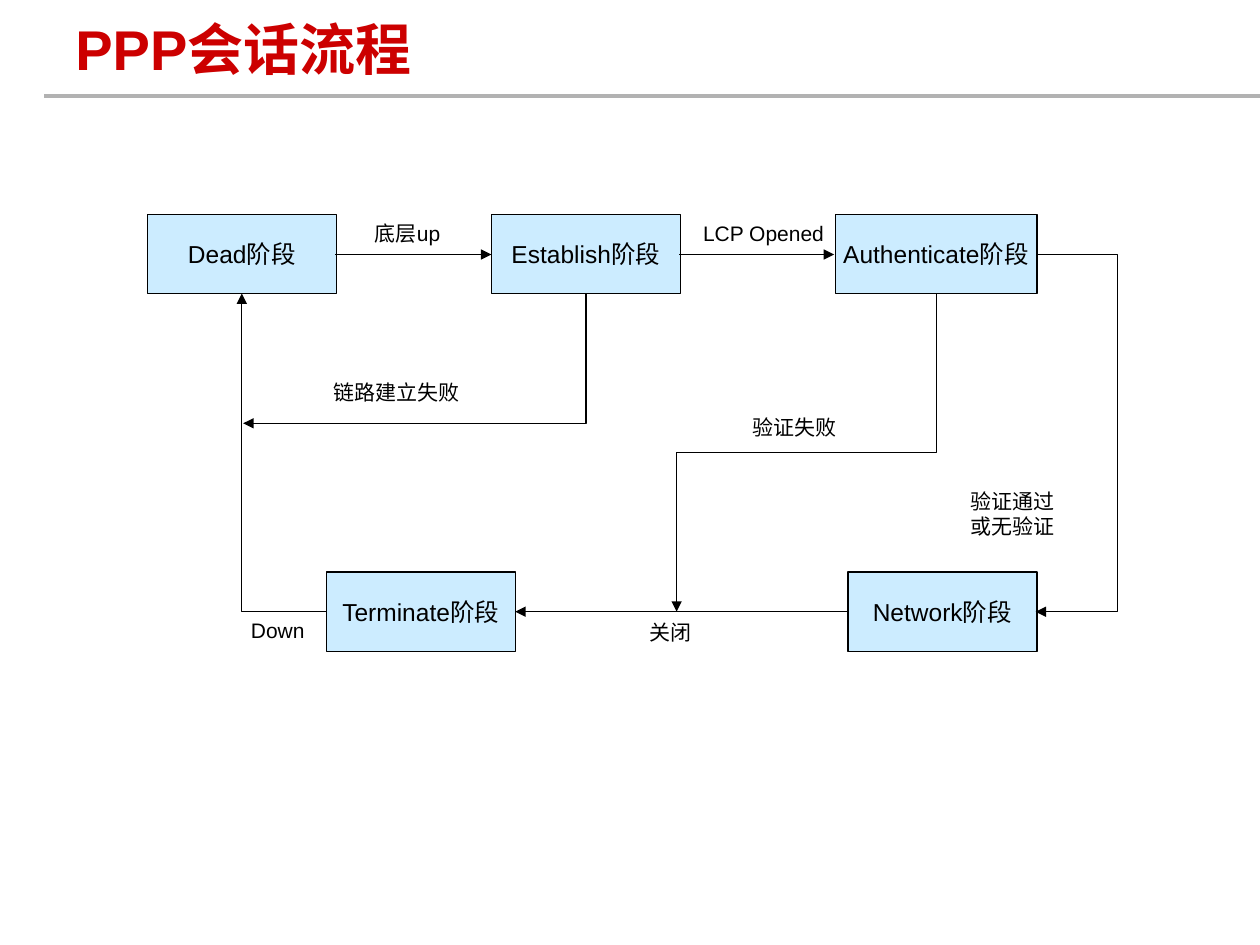
from lxml import etree
from pptx import Presentation
from pptx.dml.color import RGBColor
from pptx.enum.shapes import MSO_CONNECTOR as LINK, MSO_SHAPE as SHAPE
from pptx.enum.text import MSO_ANCHOR as ANCHOR, PP_ALIGN as ALIGN
from pptx.oxml.ns import qn
from pptx.util import Inches, Pt

color = RGBColor.from_string


def write(shape, text, size=12, hue="000000", bold=False, align=ALIGN.CENTER,
          anchor=ANCHOR.TOP, wrap=True):
    frame = shape.text_frame
    frame.word_wrap = wrap
    frame.vertical_anchor = anchor
    paragraph = frame.paragraphs[0]
    paragraph.alignment = align
    run = paragraph.add_run()
    run.text = text
    run.font.name = "Arial"
    run.font.size = Pt(size)
    run.font.bold = bold
    run.font.color.rgb = color(hue)


def link(start, end, kind=LINK.STRAIGHT, down_first=False, preset=None,
         bend=None, hue="000000", width=0.75, arrow=True):
    (x1, y1), (x2, y2) = start, end
    if down_first:  # swap the frame's sides, then turn it a quarter
        cx, cy = (x1 + x2) / 2, (y1 + y2) / 2
        half_w, half_h = (y2 - y1) / 2, (x1 - x2) / 2
        x1, y1, x2, y2 = cx - half_w, cy - half_h, cx + half_w, cy + half_h
    line = slide.shapes.add_connector(
        kind, Inches(x1), Inches(y1), Inches(x2), Inches(y2))
    line.line.color.rgb = color(hue)
    line.line.width = Pt(width)
    properties = line._element.spPr
    if down_first:
        properties.find(qn("a:xfrm")).set("rot", "5400000")
    geometry = properties.find(qn("a:prstGeom"))
    if preset:
        geometry.set("prst", preset)
    if bend is not None:
        guides = geometry.find(qn("a:avLst"))
        if guides is None:
            guides = etree.SubElement(geometry, qn("a:avLst"))
        etree.SubElement(guides, qn("a:gd"), name="adj1", fmla=f"val {bend}")
    if arrow:
        etree.SubElement(properties.find(qn("a:ln")), qn("a:tailEnd"), type="triangle")
    etree.SubElement(properties, qn("a:effectLst"))


prs = Presentation()
prs.slide_width, prs.slide_height = Inches(10), Inches(7.5)
slide = prs.slides.add_slide(prs.slide_layouts[6])

# Title and rule
link((0.35, 0.76), (10, 0.76), hue="B2B2B2", width=2.25, arrow=False)
title = slide.shapes.add_textbox(Inches(0.5), Inches(0.05), Inches(7.92), Inches(0.67))
write(title, "PPP会话流程", size=32, hue="CC0000", bold=True, align=ALIGN.LEFT,
      anchor=ANCHOR.MIDDLE)

# Phases, in two rows
top, bottom, phase_height = 1.7, 4.54, 0.63
top_mid, bottom_mid = 2.02, 4.855
top_edge = top + phase_height
phases = [
    ("Dead阶段", 1.17, top, 1.5),
    ("Establish阶段", 3.9, top, 1.5),
    ("Authenticate阶段", 6.63, top, 1.6),
    ("Network阶段", 6.73, bottom, 1.5),
    ("Terminate阶段", 2.59, bottom, 1.5),
]
for name, x, y, width in phases:
    phase = slide.shapes.add_shape(
        SHAPE.FLOWCHART_PROCESS, Inches(x), Inches(y), Inches(width), Inches(phase_height))
    phase.shadow.inherit = False
    phase.fill.solid()
    phase.fill.fore_color.rgb = color("CCECFF")
    phase.line.color.rgb = color("000000")
    phase.line.width = Pt(0.75)
    write(phase, name, size=14, anchor=ANCHOR.MIDDLE, wrap=False)

# Straight transitions
link((2.66, top_mid), (3.9, top_mid))
link((5.39, top_mid), (6.62, top_mid))
link((6.73, bottom_mid), (4.09, bottom_mid))

# Bent transitions: passed, link failed, down, authentication failed
link((8.23, top_mid), (8.22, bottom_mid), LINK.ELBOW, bend=-6500000)
link((4.65, top_edge), (1.93, 3.36), LINK.ELBOW, down_first=True, preset="bentConnector2")
link((2.59, bottom_mid), (1.92, top_edge), LINK.ELBOW, preset="bentConnector2")
link((7.43, top_edge), (5.37, bottom_mid), LINK.ELBOW, down_first=True, bend=50000)

# Transition labels
labels = [
    ("底层up", 2.8, 1.7, 0.87, 0.3),
    ("LCP Opened", 5.39, 1.7, 1.34, 0.3),
    ("链路建立失败", 2.48, 2.96, 1.34, 0.3),
    ("验证失败", 5.87, 3.24, 0.87, 0.3),
    ("验证通过或无验证", 7.6, 3.83, 0.87, 0.5),
    ("Down", 1.77, 4.85, 0.87, 0.3),
    ("关闭", 4.89, 4.87, 0.87, 0.3),
]
for text, *place in labels:
    write(slide.shapes.add_textbox(*map(Inches, place)), text)

prs.save("out.pptx")
